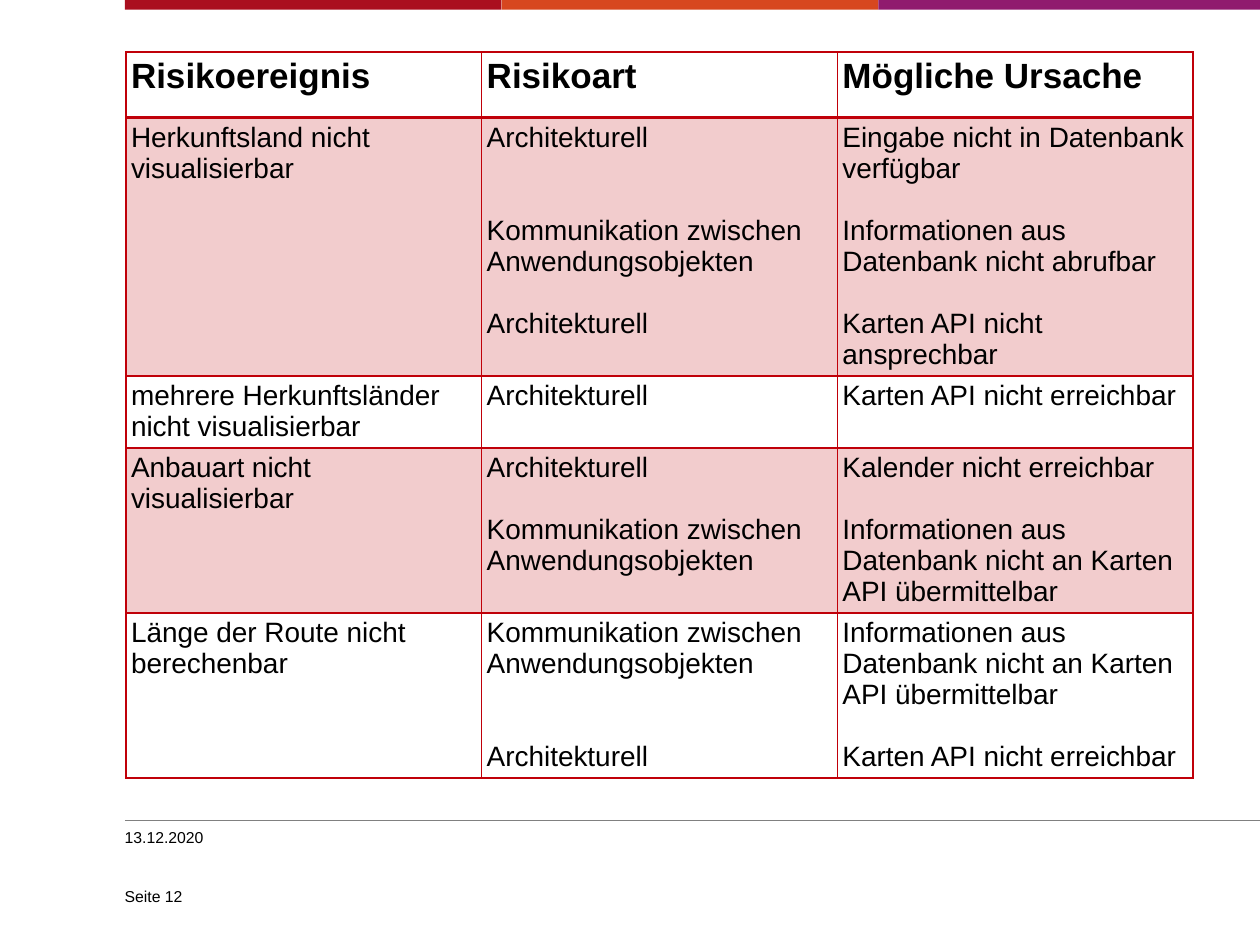
from lxml import etree
from pptx import Presentation
from pptx import util as u
from pptx.dml import color
from pptx.enum import shapes, text
from pptx.oxml import ns


def rgb(value):
    return color.RGBColor.from_string(value)


class SlideBuilder:
    font = "Arial"
    ink = "000000"
    accent = "C00009"
    line_height = 17.7
    inset = u.Pt(2.88)

    def __init__(self, slide):
        self.slide = slide

    def style(self, paragraph, size, bold=False):
        for run in paragraph.runs:
            run.font.name = self.font
            run.font.size = u.Pt(size)
            run.font.bold = bold
            run.font.color.rgb = rgb(self.ink)

    def bar(self, left, width, fill):
        shape = self.slide.shapes.add_shape(
            shapes.MSO_SHAPE.RECTANGLE, u.Pt(left), 0, u.Pt(width), u.Pt(5.6))
        shape.shadow.inherit = False
        shape.fill.solid()
        shape.fill.fore_color.rgb = rgb(fill)
        shape.line.fill.background()

    def rule(self, left, right, top):
        connector = self.slide.shapes.add_connector(
            shapes.MSO_CONNECTOR.STRAIGHT, u.Pt(left), u.Pt(top), u.Pt(right), u.Pt(top))
        connector.line.color.rgb = rgb("808080")
        connector.line.width = u.Pt(0.5)
        etree.SubElement(connector.element.spPr, ns.qn("a:effectLst"))

    def label(self, content, top, height, anchor, wrap):
        shape = self.slide.shapes.add_textbox(
            u.Pt(71.3), u.Pt(top), u.Pt(76.3), u.Pt(height))
        frame = shape.text_frame
        frame.margin_left = frame.margin_right = frame.margin_top = frame.margin_bottom = 0
        frame.word_wrap = wrap
        frame.vertical_anchor = anchor
        frame.text = content
        self.style(frame.paragraphs[0], 9)

    def borders(self, cell, widths):
        properties = cell._tc.get_or_add_tcPr()
        for index, (side, width) in enumerate(widths.items()):
            line = etree.Element(ns.qn(f"a:ln{side}"), w=str(u.Pt(width)))
            fill = etree.SubElement(line, ns.qn("a:solidFill"))
            etree.SubElement(fill, ns.qn("a:srgbClr"), val=self.accent)
            properties.insert(index, line)

    def cell(self, cell, entries, header, shaded):
        cell.margin_left = cell.margin_right = self.inset
        cell.margin_top = cell.margin_bottom = self.inset
        frame = cell.text_frame
        for index, (content, gap) in enumerate(entries):
            paragraph = frame.add_paragraph() if index else frame.paragraphs[0]
            paragraph.text = content
            self.style(paragraph, 20 if header else 16, header)
            if not header:
                paragraph.line_spacing = u.Pt(self.line_height)
                paragraph.space_before = u.Pt(gap * self.line_height)
        if shaded:
            cell.fill.solid()
            cell.fill.fore_color.rgb = rgb(self.accent)
            fill_color = cell._tc.tcPr.find(".//" + ns.qn("a:srgbClr"))
            etree.SubElement(fill_color, ns.qn("a:alpha"), val="20000")
        else:
            cell.fill.background()

    def table(self, left, top, column_width, heights, rows):
        columns = len(rows[0])
        table = self.slide.shapes.add_table(
            len(rows), columns, u.Pt(left), u.Pt(top),
            u.Pt(column_width * columns), u.Pt(sum(heights))).table
        table.horz_banding = False
        table.first_row = False
        for column in table.columns:
            column.width = u.Pt(column_width)
        for index, (height, entries) in enumerate(zip(heights, rows)):
            table.rows[index].height = u.Pt(height)
            widths = {"L": 1, "R": 1, "T": 2 if index == 1 else 1, "B": 1 if index else 2}
            for column, content in enumerate(entries):
                cell = table.cell(index, column)
                self.cell(cell, content, index == 0, index % 2 == 1)
                self.borders(cell, widths)


def single(content):
    return [(content, 0)]


ARCHITECTURE = "Architekturell"
COMMUNICATION = "Kommunikation zwischen Anwendungsobjekten"
TRANSFER = "Informationen aus Datenbank nicht an Karten API übermittelbar"
UNREACHABLE = "Karten API nicht erreichbar"

RISKS = [
    [single("Risikoereignis"), single("Risikoart"), single("Mögliche Ursache")],
    [single("Herkunftsland nicht visualisierbar"),
     [(ARCHITECTURE, 0), (COMMUNICATION, 2), (ARCHITECTURE, 1)],
     [("Eingabe nicht in Datenbank verfügbar", 0),
      ("Informationen aus Datenbank nicht abrufbar", 1),
      ("Karten API nicht ansprechbar", 1)]],
    [single("mehrere Herkunftsländer nicht visualisierbar"),
     single(ARCHITECTURE), single(UNREACHABLE)],
    [single("Anbauart nicht visualisierbar"),
     [(ARCHITECTURE, 0), (COMMUNICATION, 1)],
     [("Kalender nicht erreichbar", 0), (TRANSFER, 1)]],
    [single("Länge der Route nicht berechenbar"),
     [(COMMUNICATION, 0), (ARCHITECTURE, 2)],
     [(TRANSFER, 0), (UNREACHABLE, 1)]],
]


def main():
    presentation = Presentation()
    presentation.slide_width = u.Pt(720)
    presentation.slide_height = u.Pt(540)
    builder = SlideBuilder(presentation.slides.add_slide(presentation.slide_layouts[6]))

    left, bar_width = 71.3, 215.3
    for index, fill in enumerate(["AA0F1F", "D7471F", "901B6E"]):
        start = left + index * bar_width
        builder.bar(start, min(bar_width, 720 - start) if index < 2 else 720 - start, fill)
    builder.rule(left, 720, 468.7)
    builder.table(72, 29.7, 203.3, [37.7, 147.4, 41.2, 94.3, 94.3], RISKS)
    builder.label("13.12.2020", 473, 14.4, text.MSO_ANCHOR.TOP, False)
    builder.label("Seite 12", 501.1, 16.6, text.MSO_ANCHOR.BOTTOM, True)
    presentation.save("out.pptx")


if __name__ == "__main__":
    main()
